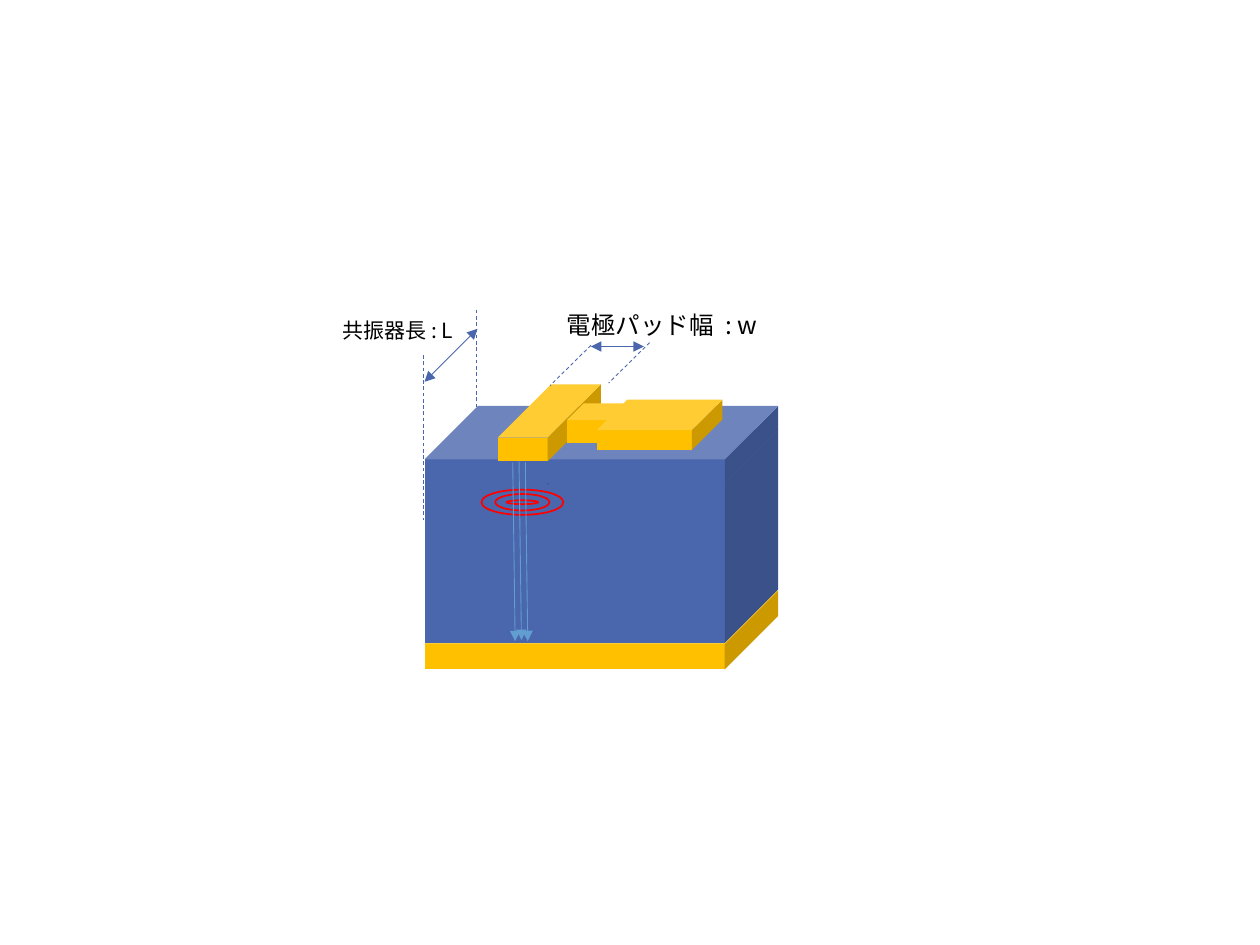
from dataclasses import dataclass

import pptx
import pptx.dml.color
import pptx.enum.dml
import pptx.enum.shapes
import pptx.oxml
import pptx.oxml.ns
import pptx.util

Pt = pptx.util.Pt
RGB = pptx.dml.color.RGBColor
SHAPE = pptx.enum.shapes.MSO_SHAPE


@dataclass(frozen=True)
class Theme:
    font: str = "Noto Sans CJK JP"
    ink: str = "000000"
    gold: str = "FFC000"
    semiconductor: str = "4A66AC"
    current: str = "629DD1"
    light: str = "FF0000"
    pad_label: int = 14
    length_label: int = 12
    thin: float = 0.5
    ring: float = 1


class LaserDiagram:
    def __init__(self, slide, theme):
        self.theme = theme
        self.shapes = slide.shapes.add_group_shape().shapes

    def label(self, text, left, top, width, height, size):
        box = self.shapes.add_textbox(Pt(left), Pt(top), Pt(width), Pt(height))
        frame = box.text_frame
        frame.word_wrap = True
        frame.text = text
        font = frame.paragraphs[0].runs[0].font
        font.size = Pt(size)
        font.color.rgb = RGB.from_string(self.theme.ink)
        font.name = self.theme.font
        east_asian = pptx.oxml.parse_xml(
            f'<a:ea {pptx.oxml.ns.nsdecls("a")} typeface="{self.theme.font}"/>')
        font.fill  # the fill precedes the typefaces in the run properties
        frame.paragraphs[0].runs[0]._r.rPr.find(
            pptx.oxml.ns.qn("a:latin")).addnext(east_asian)

    def block(self, left, top, width, height, depth, color):
        """Cube whose slanted faces run back by depth; height includes it."""
        cube = self.shapes.add_shape(
            SHAPE.CUBE, Pt(left), Pt(top), Pt(width), Pt(height))
        cube.adjustments[0] = depth / min(width, height)
        cube.shadow.inherit = False
        cube.fill.solid()
        cube.fill.fore_color.rgb = RGB.from_string(color)
        cube.line.fill.background()

    def ring(self, center_x, center_y, width, height):
        ellipse = self.shapes.add_shape(
            SHAPE.OVAL, Pt(center_x - width / 2), Pt(center_y - height / 2),
            Pt(width), Pt(height))
        ellipse.shadow.inherit = False
        ellipse.fill.background()
        ellipse.line.color.rgb = RGB.from_string(self.theme.light)
        ellipse.line.width = Pt(self.theme.ring)

    def line(self, start, end, color, dashed=False, arrows=()):
        """Straight line; arrows lists the ends with heads, headEnd first."""
        connector = self.shapes.add_connector(
            pptx.enum.shapes.MSO_CONNECTOR.STRAIGHT,
            *(Pt(value) for value in (*start, *end)))
        connector.line.color.rgb = RGB.from_string(color)
        connector.line.width = Pt(self.theme.thin)
        if dashed:
            connector.line.dash_style = pptx.enum.dml.MSO_LINE.DASH
        namespace = pptx.oxml.ns.nsdecls("a")
        outline = connector.line._get_or_add_ln()
        for arrow in arrows:
            outline.append(pptx.oxml.parse_xml(
                f'<a:{arrow} {namespace} type="triangle"/>'))
        connector._element.spPr.append(
            pptx.oxml.parse_xml(f"<a:effectLst {namespace}/>"))


def main():
    theme = Theme()
    deck = pptx.Presentation()
    deck.slide_width, deck.slide_height = Pt(720), Pt(540)
    diagram = LaserDiagram(deck.slides.add_slide(deck.slide_layouts[6]), theme)
    both_ends = ("headEnd", "tailEnd")
    chip_left, chip_width, chip_depth = 242.7, 202, 30.5
    ridge_left, ridge_width, ridge_height = 284.4, 59, 44

    diagram.label("電極パッド幅  : w", 316.8, 173.5, 137.5, 24.5, theme.pad_label)
    diagram.line((272.2, 177.1), (272.2, 271.4), theme.semiconductor, dashed=True)
    diagram.label("共振器長 : L", 188.6, 177.8, 147.6, 21.6, theme.length_label)

    for left, top, width, height, depth, color in (
        (chip_left, 337.5, chip_width, 45, chip_depth, theme.gold),
        (chip_left, 245.3, chip_width, 122, chip_depth, theme.semiconductor),
        (ridge_left, 233, ridge_width, ridge_height, chip_depth, theme.semiconductor),
        (chip_left, 232, chip_width, ridge_height, chip_depth, theme.semiconductor),
        (ridge_left, 219.6, ridge_width, ridge_height, chip_depth, theme.gold),
        (324, 230.6, 34.5, 22.5, 9.5, theme.gold),
        (341, 228.4, 71.8, 28.8, 17.5, theme.gold),
    ):
        diagram.block(left, top, width, height, depth, color)

    for width, height in ((31, 9.4), (18, 2.2), (46.8, 14.4)):
        diagram.ring(298.5, 287, width, height)

    for x, top in ((300.2, 264.2), (293, 264.2), (296.6, 263.5)):
        diagram.line((x, top), (x + 1.4, top + 102.2), theme.current,
                     arrows=("tailEnd",))

    diagram.line((242.6, 218.2), (272.9, 187.9), theme.semiconductor,
                 arrows=both_ends)
    diagram.line((241.9, 203), (241.9, 297.4), theme.semiconductor, dashed=True)
    diagram.line((337.7, 198), (367.9, 198), theme.semiconductor,
                 arrows=both_ends)
    for x, y in ((337.7, 197.3), (371.2, 195.8)):
        diagram.line((x, y), (x - 23.4, y + 23.1), theme.semiconductor, dashed=True)

    deck.save("out.pptx")


if __name__ == "__main__":
    main()
